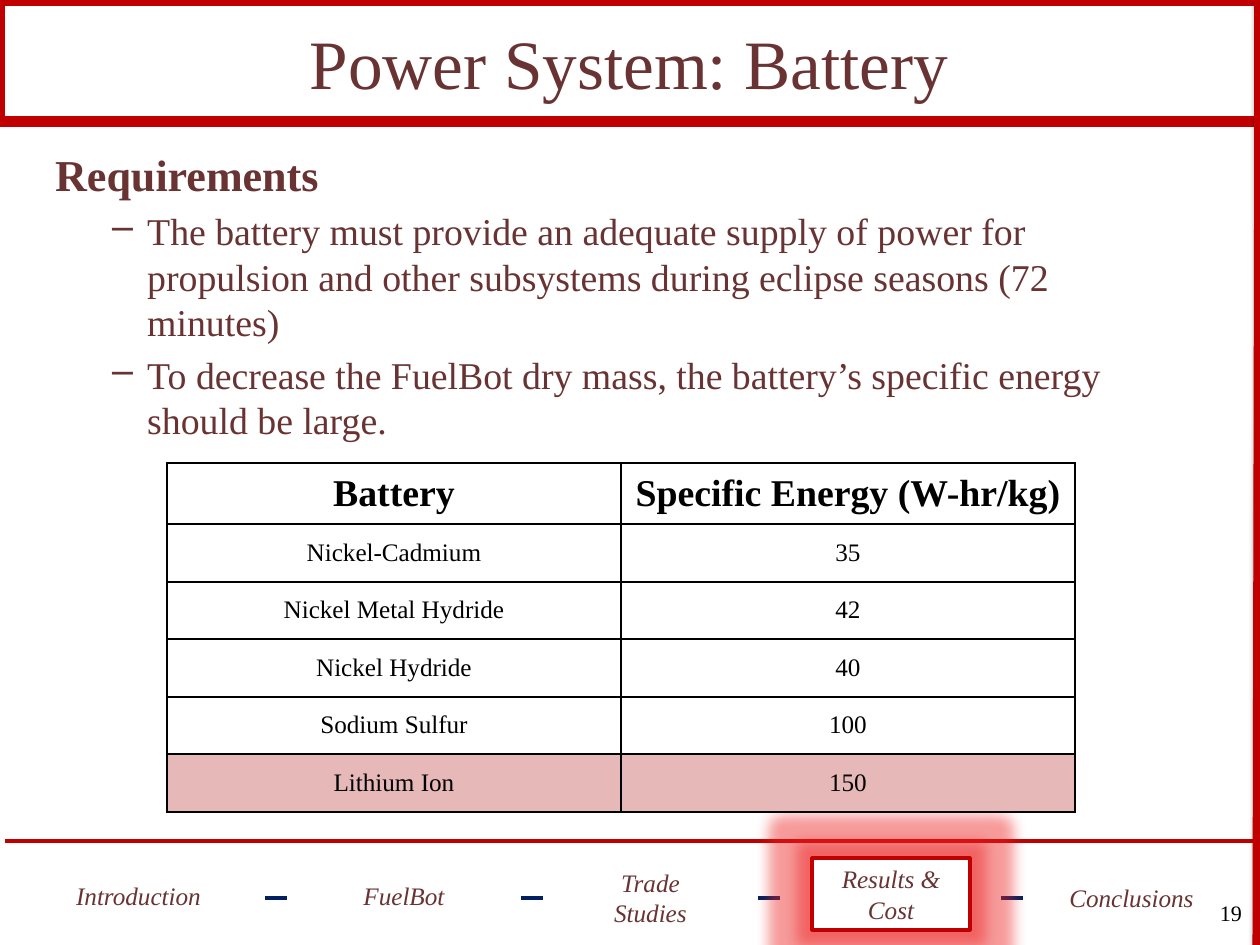
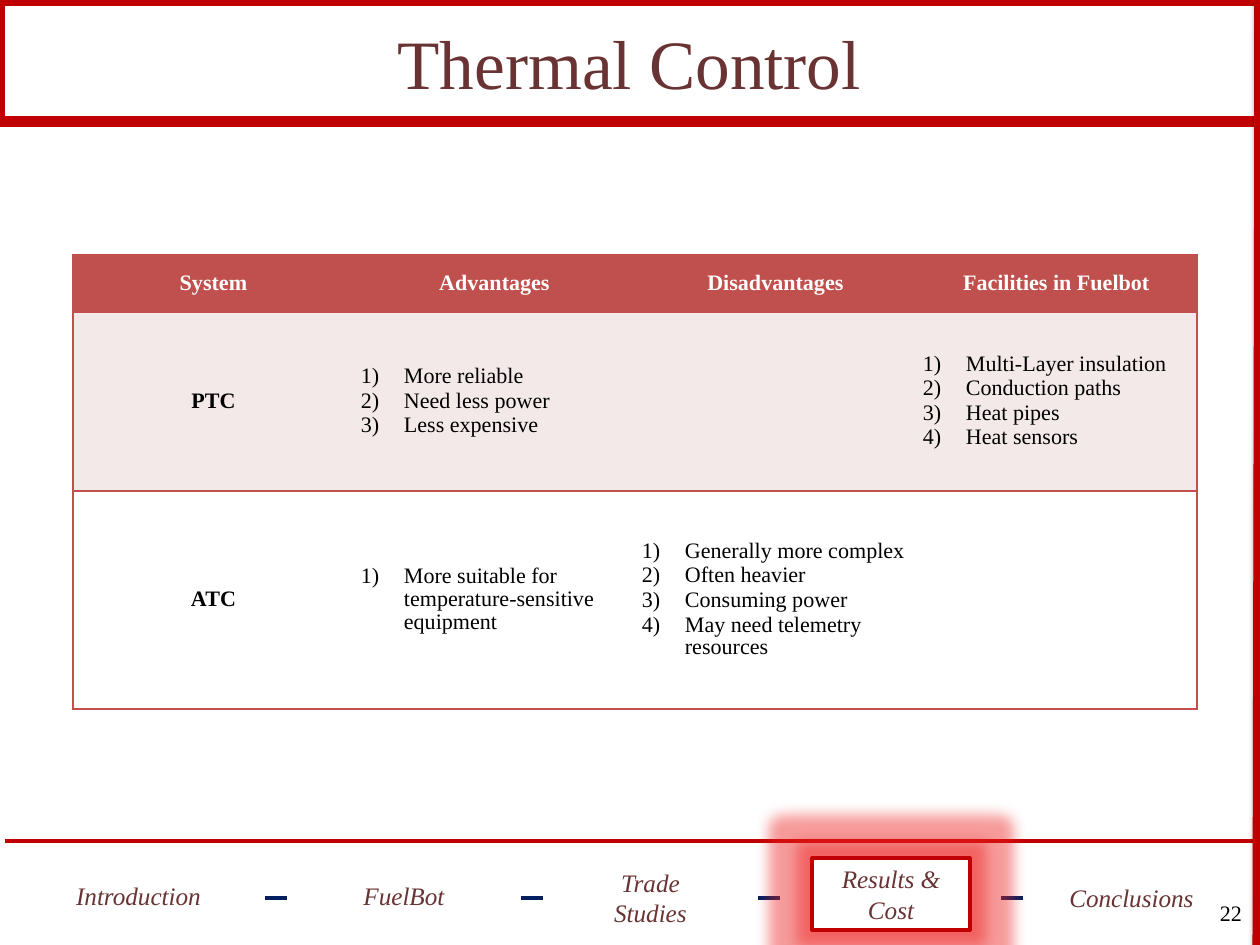
from dataclasses import dataclass
from typing import NamedTuple, Optional, Union

from lxml.etree import SubElement
from pptx import Presentation
from pptx.dml.color import RGBColor as Rgb
from pptx.enum.shapes import MSO_CONNECTOR as Link, MSO_SHAPE as Form
from pptx.enum.text import MSO_ANCHOR as Anchor, PP_ALIGN as Align
from pptx.oxml import parse_xml
from pptx.oxml.ns import nsdecls, qn
from pptx.util import Pt

SCALE = 8064
WIDE, HIGH = 1260, 945
FACE = "Times New Roman"
RED = Rgb(0xC0, 0x00, 0x00)
NAVY = Rgb(0x00, 0x20, 0x60)
WINE = Rgb(0x69, 0x33, 0x33)
BRICK = Rgb(0xC0, 0x50, 0x4D)
ROSE = Rgb(0xE6, 0xB9, 0xB8)
BLUSH = Rgb(0xF4, 0xE9, 0xE9)
WHITE = Rgb(0xFF, 0xFF, 0xFF)
BLACK = Rgb(0x00, 0x00, 0x00)

GLOW = ('<a:glow %s rad="228600"><a:srgbClr val="EE2020">'
        '<a:alpha val="45000"/></a:srgbClr></a:glow>' % nsdecls("a"))
SHADE = ('<a:outerShdw %s blurRad="39370" dist="20320" dir="5400000" rotWithShape="0">'
         '<a:srgbClr val="000000"><a:alpha val="38000"/></a:srgbClr></a:outerShdw>'
         % nsdecls("a"))

Text = Union[str, tuple[str, ...]]


class Area(NamedTuple):
    left: int
    top: int
    width: int
    height: int


class Style(NamedTuple):
    size: int
    color: Rgb
    bold: bool = False
    slant: bool = False
    align: Align = Align.CENTER


@dataclass(frozen=True)
class Tab:
    text: str
    area: Area
    fill: Optional[Rgb] = None
    line: Optional[Rgb] = None
    glow: bool = False


@dataclass(frozen=True)
class Rule:
    start: tuple[int, int]
    end: tuple[int, int]
    color: Rgb
    weight: int
    shade: bool = False


@dataclass(frozen=True)
class Row:
    height: int
    cells: tuple[Text, ...]
    style: Style
    fill: Optional[Rgb] = None
    lead: bool = False


@dataclass(frozen=True)
class Grid:
    left: int
    top: int
    column: int
    rows: tuple[Row, ...]
    edge: Rgb
    inner: bool = True
    pad: Optional[int] = None
    pitch: Optional[float] = None


TITLE = Style(44, WINE)
LABEL = Style(16, WINE, slant=True)
PAGE = Style(14, BLACK, align=Align.RIGHT)
HEAD = Style(28, WINE, bold=True, align=Align.LEFT)
POINT = Style(24, WINE, align=Align.LEFT)

TABS = (
    Tab("Introduction", Area(44, 860, 189, 71), fill=WHITE),
    Tab("FuelBot", Area(319, 860, 170, 71)),
    Tab("Trade Studies", Area(575, 862, 151, 71)),
    Tab("Results & Cost", Area(812, 858, 158, 72), WHITE, RED, True),
    Tab("Conclusions", Area(1056, 862, 151, 71)),
)
RULES = (
    Rule((5, 841), (1259, 841), RED, 2),
    Rule((1258, HIGH), (WIDE, 0), RED, 7, True),
    *(Rule((x, 898), (x + 22, 898), NAVY, 2) for x in (265, 521, 758, 1001)),
)

CELL = Style(16, BLACK)
POWER = Grid(167, 463, 454, (
    Row(61, ("Battery", "Specific Energy (W-hr/kg)"), Style(24, BLACK, bold=True)),
    Row(58, ("Nickel-Cadmium", "35"), CELL),
    Row(57, ("Nickel Metal Hydride", "42"), CELL),
    Row(58, ("Nickel Hydride", "40"), CELL),
    Row(57, ("Sodium Sulfur", "100"), CELL),
    Row(58, ("Lithium Ion", "150"), CELL, ROSE),
), BLACK)

ITEM = Style(14, BLACK)
HEAT = Grid(73, 255, 281, (
    Row(57, ("System", "Advantages", "Disadvantages", "Facilities in Fuelbot"),
        Style(14, WHITE, bold=True), BRICK),
    Row(179, (
        "PTC",
        ("More reliable", "Need less power", "Less expensive"),
        "",
        ("Multi-Layer insulation", "Conduction paths", "Heat pipes", "Heat sensors"),
    ), ITEM, BLUSH, True),
    Row(218, (
        "ATC",
        ("More suitable for temperature-sensitive equipment",),
        ("Generally more complex", "Often heavier", "Consuming power",
         "May need telemetry resources"),
        "",
    ), ITEM, WHITE, True),
), BRICK, inner=False, pad=7, pitch=14.4)


def px(size: int) -> int:
    return size * SCALE


def write(para, text: str, style: Style) -> None:
    para.text = text
    para.alignment = style.align
    font = para.font
    font.name, font.size = FACE, Pt(style.size)
    font.bold, font.italic = style.bold, style.slant
    font.color.rgb = style.color


def mark(para, tag: str, left: int, hang: int, **attrs: str) -> None:
    props = para._p.get_or_add_pPr()
    props.set("marL", str(px(left)))
    props.set("indent", str(px(-hang)))
    SubElement(props, qn(tag), attrs)


def effect(shape, xml: str = "") -> None:
    props = shape._element.spPr
    node = props.find(qn("a:effectLst"))
    if node is None:
        node = SubElement(props, qn("a:effectLst"))
    if xml:
        node.append(parse_xml(xml))


def draw_rule(slide, rule: Rule) -> None:
    line = slide.shapes.add_connector(
        Link.STRAIGHT, *(px(n) for n in rule.start + rule.end))
    line.line.color.rgb = rule.color
    line.line.width = Pt(rule.weight)
    effect(line, SHADE if rule.shade else "")


def add_rect(slide, area: Area, fill: Optional[Rgb], line: Optional[Rgb], weight: int):
    rect = slide.shapes.add_shape(Form.RECTANGLE, *map(px, area))
    rect.shadow.inherit = False
    if fill is None:
        rect.fill.background()
    else:
        rect.fill.solid()
        rect.fill.fore_color.rgb = fill
    if line is None:
        rect.line.fill.background()
    else:
        rect.line.color.rgb = line
        rect.line.width = Pt(weight)
    return rect


def set_text(shape, text: str, style: Style, anchor: Anchor = Anchor.MIDDLE) -> None:
    frame = shape.text_frame
    frame.word_wrap = True
    frame.vertical_anchor = anchor
    write(frame.paragraphs[0], text, style)


def add_text(slide, area: Area, text: str, style: Style,
             anchor: Anchor = Anchor.MIDDLE):
    box = slide.shapes.add_textbox(*map(px, area))
    set_text(box, text, style, anchor)
    return box


def draw_tab(slide, tab: Tab) -> None:
    if tab.fill is None:
        add_text(slide, tab.area, tab.text, LABEL)
        return
    rect = add_rect(slide, tab.area, tab.fill, tab.line, 2)
    set_text(rect, tab.text, LABEL)
    if tab.glow:
        effect(rect, GLOW)


def set_edge(cell, sides: str, color: Rgb) -> None:
    props = cell._tc.get_or_add_tcPr()
    for side in "LRTB":
        line = SubElement(props, qn("a:ln" + side), w=str(Pt(1)))
        if side in sides:
            fill = SubElement(line, qn("a:solidFill"))
            SubElement(fill, qn("a:srgbClr"), val=str(color))
        else:
            SubElement(line, qn("a:noFill"))


def fill_cell(cell, text: Text, style: Style, grid: Grid) -> None:
    cell.vertical_anchor = Anchor.MIDDLE
    if grid.pad is not None:
        cell.margin_left = cell.margin_right = px(grid.pad)
        cell.margin_top = cell.margin_bottom = 0
    listed = isinstance(text, tuple)
    frame = cell.text_frame
    for i, part in enumerate(text if listed else (text,)):
        para = frame.add_paragraph() if i else frame.paragraphs[0]
        if listed:
            mark(para, "a:buAutoNum", 43, 43, type="arabicParenR")
        write(para, part, style._replace(align=Align.LEFT) if listed else style)
        if grid.pitch:
            para.line_spacing = Pt(grid.pitch)
            para.space_after = Pt(1.2)


def draw_grid(slide, grid: Grid) -> None:
    count = len(grid.rows[0].cells)
    area = Area(grid.left, grid.top, grid.column * count,
                sum(row.height for row in grid.rows))
    table = slide.shapes.add_table(len(grid.rows), count, *map(px, area)).table
    table.first_row = table.horz_banding = False
    for column in table.columns:
        column.width = px(grid.column)
    for r, row in enumerate(grid.rows):
        table.rows[r].height = px(row.height)
        for c, text in enumerate(row.cells):
            cell = table.cell(r, c)
            sides = "TB"
            if grid.inner or c == 0:
                sides += "L"
            if grid.inner or c == count - 1:
                sides += "R"
            set_edge(cell, sides, grid.edge)
            if row.fill is None:
                cell.fill.background()
            else:
                cell.fill.solid()
                cell.fill.fore_color.rgb = row.fill
            bold = row.style.bold or (row.lead and c == 0)
            fill_cell(cell, text, row.style._replace(bold=bold), grid)


def add_slide(deck, title: str, page: str):
    slide = deck.slides.add_slide(deck.slide_layouts[6])
    add_rect(slide, Area(0, 0, WIDE, 122), None, RED, 7)
    for rule in RULES:
        draw_rule(slide, rule)
    for tab in TABS:
        draw_tab(slide, tab)
    add_text(slide, Area(94, 0, 1071, 124), title, TITLE)
    add_text(slide, Area(1199, 894, 54, 51), page, PAGE, Anchor.TOP)
    return slide


def add_needs(slide, head: str, points: tuple[str, ...]) -> None:
    box = add_text(slide, Area(44, 142, 1143, 539), head, HEAD, Anchor.TOP)
    frame = box.text_frame
    frame.paragraphs[0].space_before = Pt(5.6)
    for point in points:
        para = frame.add_paragraph()
        para.level = 1
        mark(para, "a:buChar", 92, 35, char="–")
        write(para, point, POINT)
        para.space_before = Pt(4.8)


def main() -> None:
    deck = Presentation()
    deck.slide_width, deck.slide_height = px(WIDE), px(HIGH)
    slide = add_slide(deck, "Power System: Battery", "19")
    add_needs(slide, "Requirements", (
        "The battery must provide an adequate supply of power for propulsion "
        "and other subsystems during eclipse seasons (72 minutes)",
        "To decrease the FuelBot dry mass, the battery’s specific energy should be large.",
    ))
    draw_grid(slide, POWER)
    draw_grid(add_slide(deck, "Thermal Control", "22"), HEAT)
    deck.save("out.pptx")


if __name__ == "__main__":
    main()
